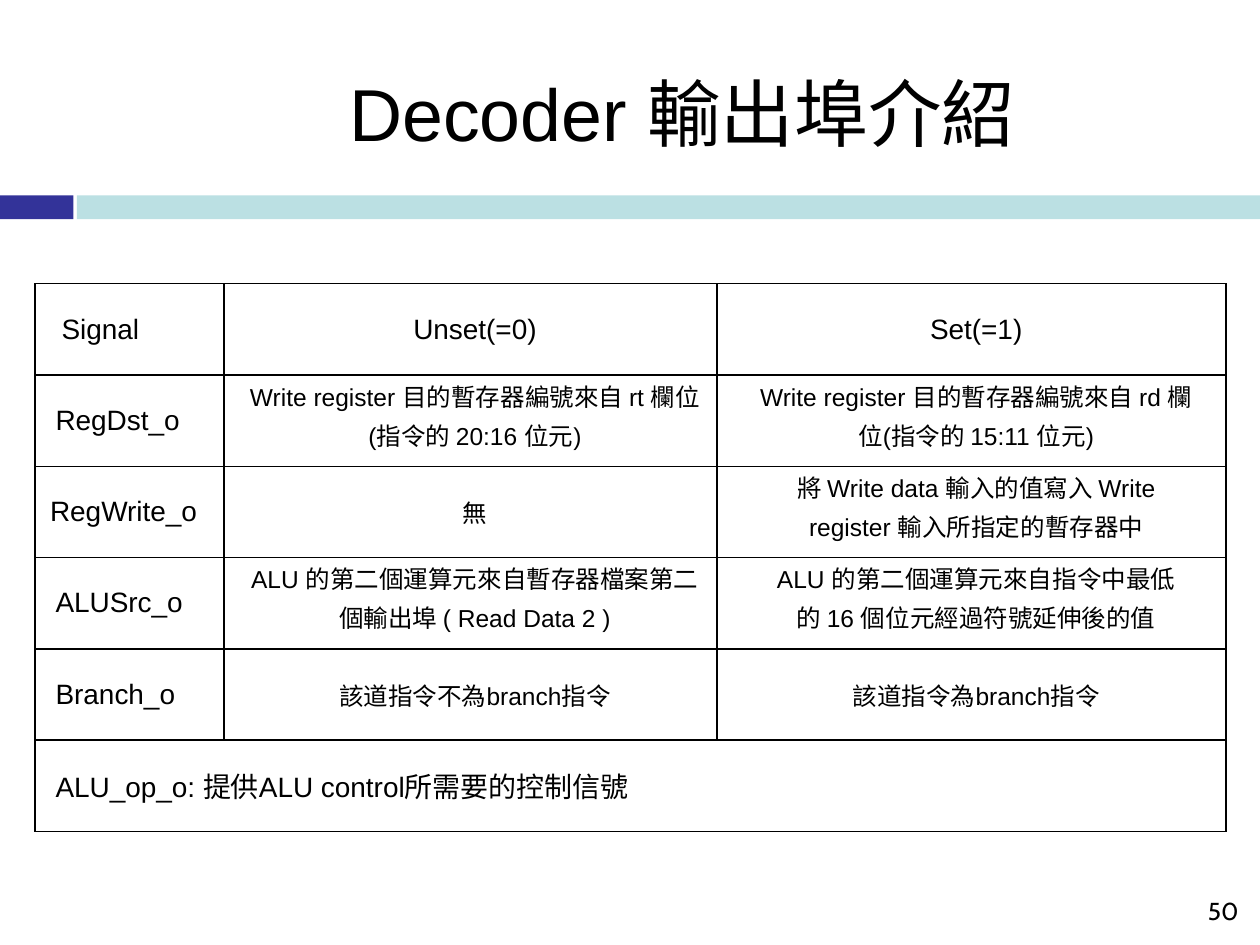
from dataclasses import dataclass

from lxml.etree import SubElement
from pptx import Presentation
from pptx.dml.color import RGBColor
from pptx.enum.shapes import MSO_SHAPE
from pptx.enum.text import MSO_ANCHOR, PP_ALIGN
from pptx.oxml.ns import qn
from pptx.util import Cm, Pt


@dataclass(frozen=True)
class Theme:
    text: str = "000000"
    paper: str = "FFFFFF"
    accent: str = "333399"
    band: str = "BBE0E3"
    font: str = "Arial"
    number_font: str = "Cabin"
    title_size: int = 42
    label_size: int = 16
    body_size: int = 14


theme = Theme()


def add_run(paragraph, text, size, font_name=theme.font):
    run = paragraph.add_run()
    run.text = text
    run.font.name = font_name
    run.font.size = Pt(size)
    run.font.color.rgb = RGBColor.from_string(theme.text)


def add_border(cell):
    """Draw a 1 pt line on all four sides; call before filling the cell."""
    properties = cell._tc.get_or_add_tcPr()
    for side in ("a:lnL", "a:lnR", "a:lnT", "a:lnB"):
        line = SubElement(properties, qn(side), w=str(Pt(1)))
        fill = SubElement(line, qn("a:solidFill"))
        SubElement(fill, qn("a:srgbClr"), val=theme.text)


presentation = Presentation()
presentation.slide_width = Cm(25.4)
presentation.slide_height = Cm(19.05)
slide = presentation.slides.add_slide(presentation.slide_layouts[5])

# Divider under the title
for left, width, color in ((0, 1.48, theme.accent), (1.55, 23.85, theme.band)):
    bar = slide.shapes.add_shape(
        MSO_SHAPE.RECTANGLE, Cm(left), Cm(3.94), Cm(width), Cm(0.48))
    bar.shadow.inherit = False
    bar.fill.solid()
    bar.fill.fore_color.rgb = RGBColor.from_string(color)
    bar.line.fill.background()

# Title
title = slide.shapes.title
title.left, title.top, title.width, title.height = Cm(3.73), Cm(0.66), Cm(20.04), Cm(3.18)
title.text_frame.vertical_anchor = MSO_ANCHOR.MIDDLE
title_paragraph = title.text_frame.paragraphs[0]
title_paragraph.alignment = PP_ALIGN.CENTER
add_run(title_paragraph, "Decoder 輸出埠介紹", theme.title_size)

# Signal table: each cell is a list of lines
signal_rows = [
    [["Signal"], ["Unset(=0)"], ["Set(=1)"]],
    [["RegDst_o"],
     ["Write register 目的暫存器編號來自 rt 欄位", "(指令的 20:16 位元)"],
     ["Write register 目的暫存器編號來自 rd 欄", "位(指令的 15:11 位元)"]],
    [["RegWrite_o"],
     ["無"],
     ["將 Write data 輸入的值寫入 Write", "register 輸入所指定的暫存器中"]],
    [["ALUSrc_o"],
     ["ALU 的第二個運算元來自暫存器檔案第二", "個輸出埠 ( Read Data 2 )"],
     ["ALU 的第二個運算元來自指令中最低", "的 16 個位元經過符號延伸後的值"]],
    [["Branch_o"], ["該道指令不為branch指令"], ["該道指令為branch指令"]],
    [["ALU_op_o: 提供ALU control所需要的控制信號"], [], []],
]
column_widths = [3.81, 9.93, 10.26]
label_indents = [0.53, 0.41, 0.3, 0.41, 0.41, 0.41]
row_height = 1.84

table = slide.shapes.add_table(
    len(signal_rows), len(column_widths), Cm(0.71), Cm(5.72),
    Cm(sum(column_widths)), Cm(row_height * len(signal_rows))).table
table.first_row = False
table.horz_banding = False
for column, width in zip(table.columns, column_widths):
    column.width = Cm(width)
for row in table.rows:
    row.height = Cm(row_height)

for row_index, signal_row in enumerate(signal_rows):
    indents = [label_indents[row_index], 0.18, 0.2]
    for column_index, lines in enumerate(signal_row):
        cell = table.cell(row_index, column_index)
        add_border(cell)
        cell.fill.solid()
        cell.fill.fore_color.rgb = RGBColor.from_string(theme.paper)
        cell.vertical_anchor = MSO_ANCHOR.MIDDLE
        cell.margin_left = cell.margin_right = cell.margin_top = cell.margin_bottom = 0
        is_label = row_index == 0 or column_index == 0
        size = theme.label_size if is_label else theme.body_size
        for line_index, text in enumerate(lines):
            if line_index == 0:
                paragraph = cell.text_frame.paragraphs[0]
                if len(lines) > 1:
                    paragraph.line_spacing = Pt(14)
            else:
                paragraph = cell.text_frame.add_paragraph()
                paragraph.space_before = Pt(1.7)
            paragraph.alignment = PP_ALIGN.LEFT if column_index == 0 else PP_ALIGN.CENTER
            paragraph._p.get_or_add_pPr().set("marL", str(Cm(indents[column_index])))
            add_run(paragraph, text, size)

last_row = len(signal_rows) - 1
table.cell(last_row, 0).merge(table.cell(last_row, len(column_widths) - 1))

# Page number
page_number = slide.shapes.add_textbox(Cm(19.3), Cm(17.93), Cm(5.92), Cm(0.91))
page_number.text_frame.word_wrap = True
number_paragraph = page_number.text_frame.paragraphs[0]
number_paragraph.alignment = PP_ALIGN.RIGHT
add_run(number_paragraph, "50", theme.body_size, theme.number_font)

presentation.save("out.pptx")
